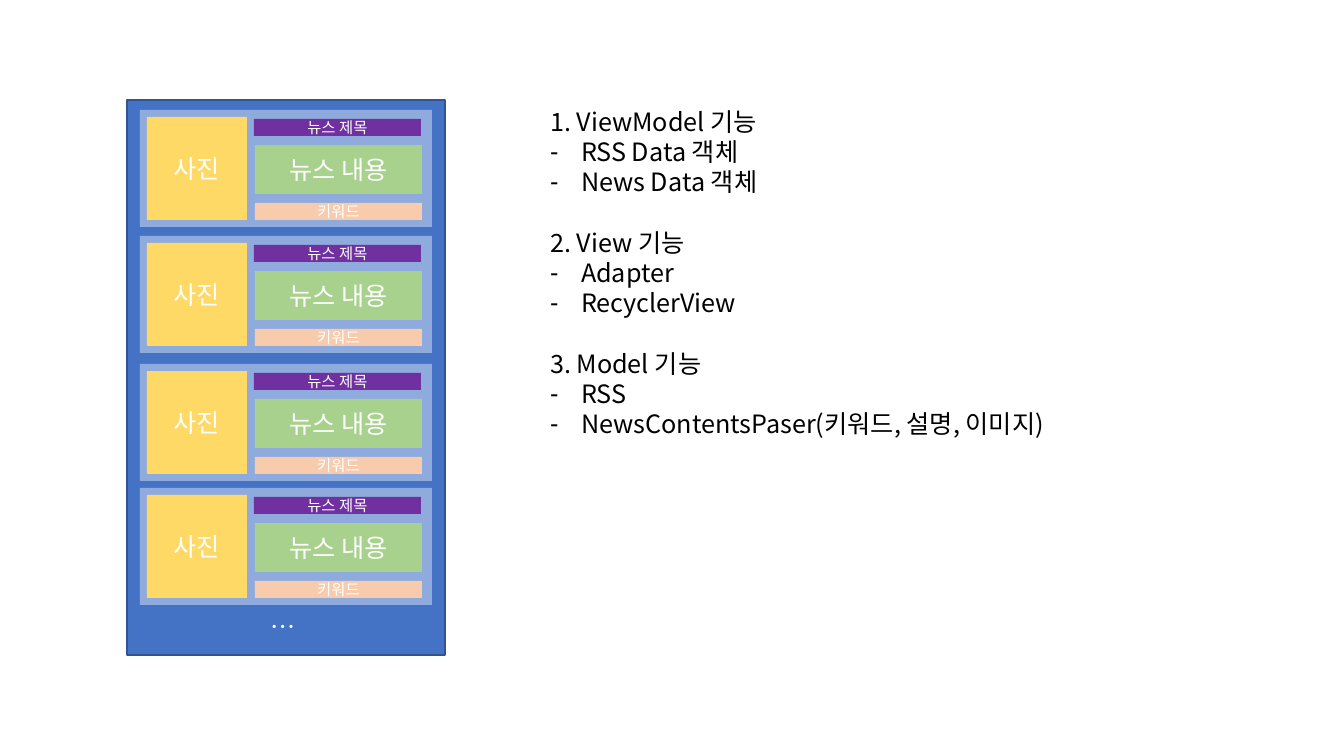
from dataclasses import dataclass

from lxml import etree
from pptx import Presentation
from pptx.dml.color import RGBColor
from pptx.enum.shapes import MSO_SHAPE
from pptx.enum.text import MSO_ANCHOR, PP_ALIGN
from pptx.oxml.ns import qn
from pptx.util import Emu, Pt

RECTANGLE = MSO_SHAPE.RECTANGLE
MIDDLE, TOP = MSO_ANCHOR.MIDDLE, MSO_ANCHOR.TOP
CENTER, LEFT = PP_ALIGN.CENTER, PP_ALIGN.LEFT
FONT = "Noto Sans CJK KR"
WHITE, BLACK = "FFFFFF", "000000"
PIXELS_PER_INCH = 100.8
LINE_PITCH = 21.6
BULLET_INDENT = 31


@dataclass(frozen=True)
class Block:
    left: int
    top: int
    width: int
    height: int
    fill: str
    text: str = ""
    size: int = 18


@dataclass(frozen=True)
class Section:
    heading: str
    items: tuple[str, ...]


SCREEN = Block(127, 100, 318, 555, "4472C4")
CARD_LEFT = 140
CARD_TOPS = (110, 236, 364, 488)
CARD_BLOCKS = (
    Block(0, 0, 292, 117, "8FAADC"),
    Block(7, 7, 100, 103, "FFD966", "사진"),
    Block(114, 9, 167, 17, "7030A0", "뉴스 제목", 11),
    Block(115, 35, 167, 49, "A9D18E", "뉴스 내용"),
    Block(115, 93, 167, 17, "F8CBAD", "키워드", 11),
)
SECTIONS = (
    Section("1. ViewModel 기능", ("RSS Data 객체", "News Data 객체")),
    Section("2. View 기능", ("Adapter", "RecyclerView")),
    Section("3. Model 기능", ("RSS", "NewsContentsPaser(키워드, 설명, 이미지)")),
)


def px(length: int) -> Emu:
    return Emu(round(length * 914400 / PIXELS_PER_INCH))


def color(value: str) -> RGBColor:
    return RGBColor.from_string(value)


def write(para, text: str, *, size: int = 18, ink: str = WHITE, align=CENTER,
          pitch: float | None = None, before: float = 0) -> None:
    para.alignment = align
    para.space_before = Pt(before)
    para.space_after = Pt(0)
    if pitch:
        para.line_spacing = Pt(pitch)
    span = para.add_run()
    span.text = text
    span.font.size = Pt(size)
    span.font.name = FONT
    span.font.color.rgb = color(ink)
    east_asian = etree.SubElement(span.font._element, qn("a:ea"))
    east_asian.set("typeface", FONT)


def set_bullet(para, character: str = "") -> None:
    indent = px(BULLET_INDENT) if character else 0
    properties = para._p.get_or_add_pPr()
    properties.set("marL", str(indent))
    properties.set("indent", str(-indent))
    if character:
        etree.SubElement(properties, qn("a:buFontTx"))
        etree.SubElement(properties, qn("a:buChar")).set("char", character)
    else:
        etree.SubElement(properties, qn("a:buNone"))


def draw_block(shapes, block: Block, left: int = 0, top: int = 0):
    box = shapes.add_shape(RECTANGLE, px(left + block.left), px(top + block.top),
                           px(block.width), px(block.height))
    box.shadow.inherit = False
    box.fill.solid()
    box.fill.fore_color.rgb = color(block.fill)
    box.line.fill.background()
    if block.text:
        frame = box.text_frame
        frame.margin_top = frame.margin_bottom = 0
        frame.vertical_anchor = MIDDLE
        write(frame.paragraphs[0], block.text, size=block.size)
    return box


def draw_outline(body) -> None:
    body.left, body.top, body.width, body.height = px(540), px(101), px(526), px(437)
    frame = body.text_frame
    frame.word_wrap = True
    frame.vertical_anchor = TOP
    para = frame.paragraphs[0]
    for number, section in enumerate(SECTIONS):
        if number:
            para = frame.add_paragraph()
        write(para, section.heading, ink=BLACK, align=LEFT, pitch=LINE_PITCH,
              before=LINE_PITCH if number else 0)
        set_bullet(para)
        for item in section.items:
            para = frame.add_paragraph()
            write(para, item, ink=BLACK, align=LEFT, pitch=LINE_PITCH)
            set_bullet(para, "-")


deck = Presentation()
deck.slide_width, deck.slide_height = px(1344), px(756)
page = deck.slides.add_slide(deck.slide_layouts[1])
title = page.shapes.title
title._element.getparent().remove(title._element)

screen = draw_block(page.shapes, SCREEN)
screen.line.color.rgb = color("325491")
screen.line.width = Pt(1)

more = page.shapes.add_textbox(px(261), px(606), px(50), px(40))
more.text_frame.word_wrap = False
write(more.text_frame.paragraphs[0], "…..", align=LEFT, pitch=LINE_PITCH)

for card_top in CARD_TOPS:
    card = page.shapes.add_group_shape()
    for card_block in CARD_BLOCKS:
        draw_block(card.shapes, card_block, CARD_LEFT, card_top)

draw_outline(page.placeholders[1])
deck.save("out.pptx")
